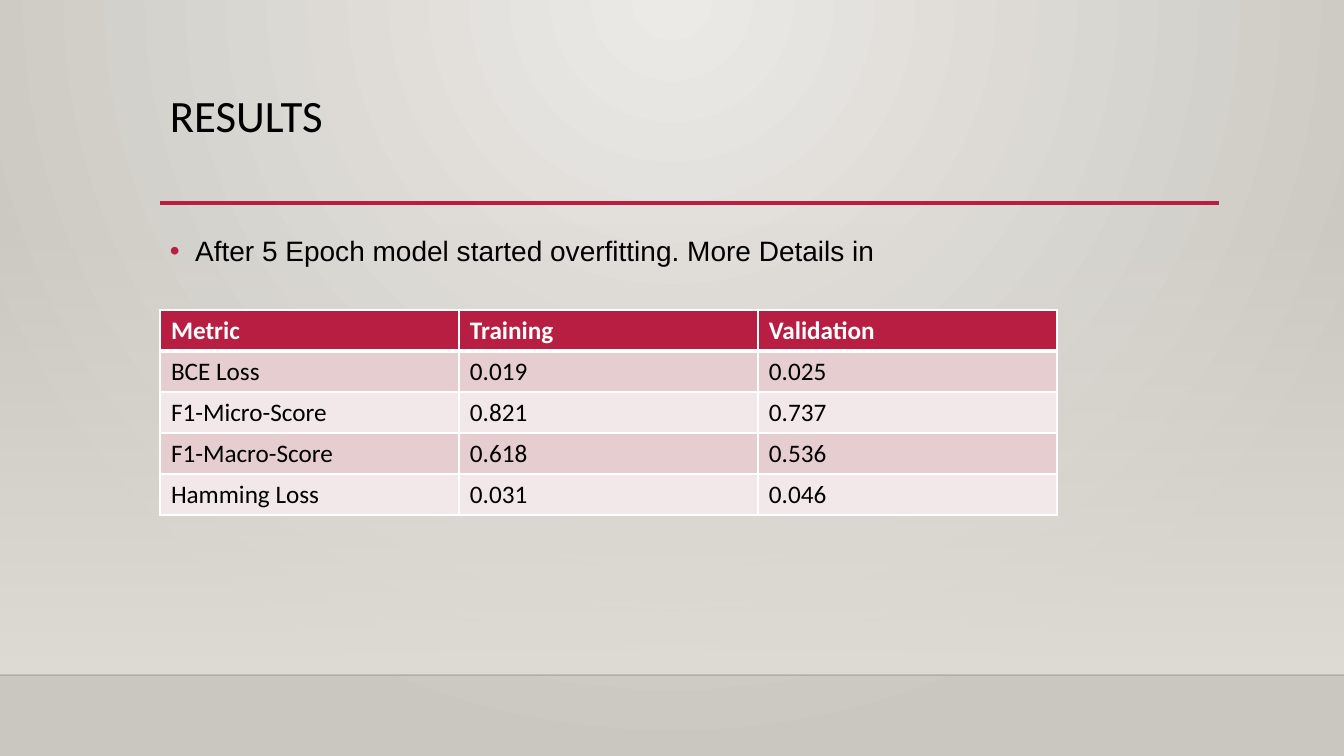
from pptx import Presentation
from pptx.dml.color import RGBColor
from pptx.enum.shapes import MSO_CONNECTOR, MSO_SHAPE
from pptx.enum.text import MSO_ANCHOR
from pptx.oxml import parse_xml
from pptx.oxml.ns import nsdecls, qn
from pptx.util import Emu, Pt

TITLE = "RESULTS"
FINDING = "After 5 Epoch model started overfitting. More Details in"
METRICS = [
    ("Metric", "Training", "Validation"),
    ("BCE Loss", "0.019", "0.025"),
    ("F1-Micro-Score", "0.821", "0.737"),
    ("F1-Macro-Score", "0.618", "0.536"),
    ("Hamming Loss", "0.031", "0.046"),
]

CRIMSON = RGBColor(0xB7, 0x1E, 0x42)
ROSE = RGBColor(0xE6, 0xCD, 0xCF)
PALE_ROSE = RGBColor(0xF3, 0xE8, 0xE9)
BLACK = RGBColor(0, 0, 0)
FLOOR_LINE = RGBColor(0, 0, 1)
WHITE = RGBColor(0xFF, 0xFF, 0xFF)
LIGHT_STONE = RGBColor(0xEC, 0xEA, 0xE7)
DARK_STONE = RGBColor(0xCA, 0xC7, 0xC1)
HAZE = RGBColor(0xDF, 0xDB, 0xD5)

WIDTH, HEIGHT = 1344, 756
LEFT, CONTENT_WIDTH = 160, 1058
HAZE_TOP, FLOOR = 223, 675
RULE_Y = 203
TABLE_TOP, COLUMN_WIDTH, ROW_HEIGHT = 310, 299, 41
EMU_PER_PX = 12192000 / WIDTH


def px(length):
    return Emu(round(length * EMU_PER_PX))


def set_gradient(properties, stops, direction):
    """Replace a solid fill by a gradient; stops are (colour, opacity in %)."""
    steps = "".join(
        f'<a:gs pos="{position}"><a:srgbClr val="{color}">'
        f'<a:alpha val="{opacity * 1000}"/></a:srgbClr></a:gs>'
        for position, (color, opacity) in zip((0, 100000), stops))
    gradient = parse_xml(f'<a:gradFill {nsdecls("a")} rotWithShape="1">'
                         f'<a:gsLst>{steps}</a:gsLst>{direction}</a:gradFill>')
    solid = properties.find(qn("a:solidFill"))
    properties.replace(solid, gradient)


def add_line(slide, start, end, y, color, weight):
    line = slide.shapes.add_connector(
        MSO_CONNECTOR.STRAIGHT, px(start), px(y), px(end), px(y))
    line.line.color.rgb = color
    line.line.width = Pt(weight)
    line.element.spPr.append(parse_xml(f'<a:effectLst {nsdecls("a")}/>'))
    return line


def format_text(paragraph, font_name, size, color, bold=False):
    for run in paragraph.runs:
        run.font.name = font_name
        run.font.size = Pt(size)
        run.font.color.rgb = color
        run.font.bold = bold


def add_text(slide, text, top, height, font_name, size, spacing):
    box = slide.shapes.add_textbox(px(LEFT), px(top), px(CONTENT_WIDTH), px(height))
    box.text_frame.word_wrap = True
    box.text_frame.vertical_anchor = MSO_ANCHOR.TOP
    paragraph = box.text_frame.paragraphs[0]
    paragraph.text = text
    paragraph.line_spacing = spacing
    format_text(paragraph, font_name, size, BLACK)
    return paragraph


def set_borders(cell, weights):
    properties = cell._tc.get_or_add_tcPr()
    for index, (side, weight) in enumerate(weights.items()):
        properties.insert(index, parse_xml(
            f'<a:ln{side} {nsdecls("a")} w="{Pt(weight)}"><a:solidFill>'
            f'<a:srgbClr val="{WHITE}"/></a:solidFill></a:ln{side}>'))


presentation = Presentation()
presentation.slide_width, presentation.slide_height = px(WIDTH), px(HEIGHT)
slide = presentation.slides.add_slide(presentation.slide_layouts[6])

# Background glow
slide.background.fill.solid()
set_gradient(slide.element.find(".//" + qn("p:bgPr")),
             [(LIGHT_STONE, 100), (DARK_STONE, 100)],
             '<a:path path="circle"><a:fillToRect l="43000" r="43000" b="100000"/></a:path>')

# Haze above the floor line
haze = slide.shapes.add_shape(
    MSO_SHAPE.RECTANGLE, 0, px(HAZE_TOP), px(WIDTH), px(FLOOR - HAZE_TOP))
haze.shadow.inherit = False
haze.line.fill.background()
haze.fill.solid()
set_gradient(haze.element.spPr, [(HAZE, 0), (HAZE, 100)],
             '<a:lin ang="5400000" scaled="0"/>')

# Floor line and title rule
floor_line = add_line(slide, 0, WIDTH, FLOOR, FLOOR_LINE, 1)
floor_color = floor_line.element.spPr.find(".//" + qn("a:srgbClr"))
floor_color.append(parse_xml(f'<a:alpha {nsdecls("a")} val="20000"/>'))
add_line(slide, LEFT, LEFT + CONTENT_WIDTH + 1, RULE_Y, CRIMSON, 2.5)

# Title and bullet
add_text(slide, TITLE, 89, 116, "Calibri", 32, 0.9)
bullet = add_text(slide, FINDING, 222, 380, "Arial", 20, 1.2)
bullet.space_before = Pt(10)
bullet_properties = bullet._p.get_or_add_pPr()
bullet_properties.set("marL", str(Pt(18)))
bullet_properties.set("indent", str(-Pt(18)))
for mark in (f'<a:buClr {nsdecls("a")}><a:srgbClr val="{CRIMSON}"/></a:buClr>',
             f'<a:buFont {nsdecls("a")} typeface="Arial"/>',
             f'<a:buChar {nsdecls("a")} char="•"/>'):
    bullet_properties.append(parse_xml(mark))

# Metrics table
row_count, column_count = len(METRICS), len(METRICS[0])
table = slide.shapes.add_table(
    row_count, column_count, px(LEFT), px(TABLE_TOP),
    px(column_count * COLUMN_WIDTH), px(row_count * ROW_HEIGHT)).table
for column in table.columns:
    column.width = px(COLUMN_WIDTH)
for row_index, values in enumerate(METRICS):
    is_header = row_index == 0
    band = CRIMSON if is_header else ROSE if row_index % 2 else PALE_ROSE
    borders = {"L": 1, "R": 1, "T": 3 if row_index == 1 else 1, "B": 3 if is_header else 1}
    for column_index, value in enumerate(values):
        cell = table.cell(row_index, column_index)
        cell.text_frame.text = value
        cell.vertical_anchor = MSO_ANCHOR.MIDDLE
        cell.margin_left = cell.margin_right = px(11)
        cell.margin_top = cell.margin_bottom = px(5)
        cell.fill.solid()
        cell.fill.fore_color.rgb = band
        set_borders(cell, borders)
        format_text(cell.text_frame.paragraphs[0], "Calibri", 18,
                    WHITE if is_header else BLACK, is_header)

presentation.save("out.pptx")
